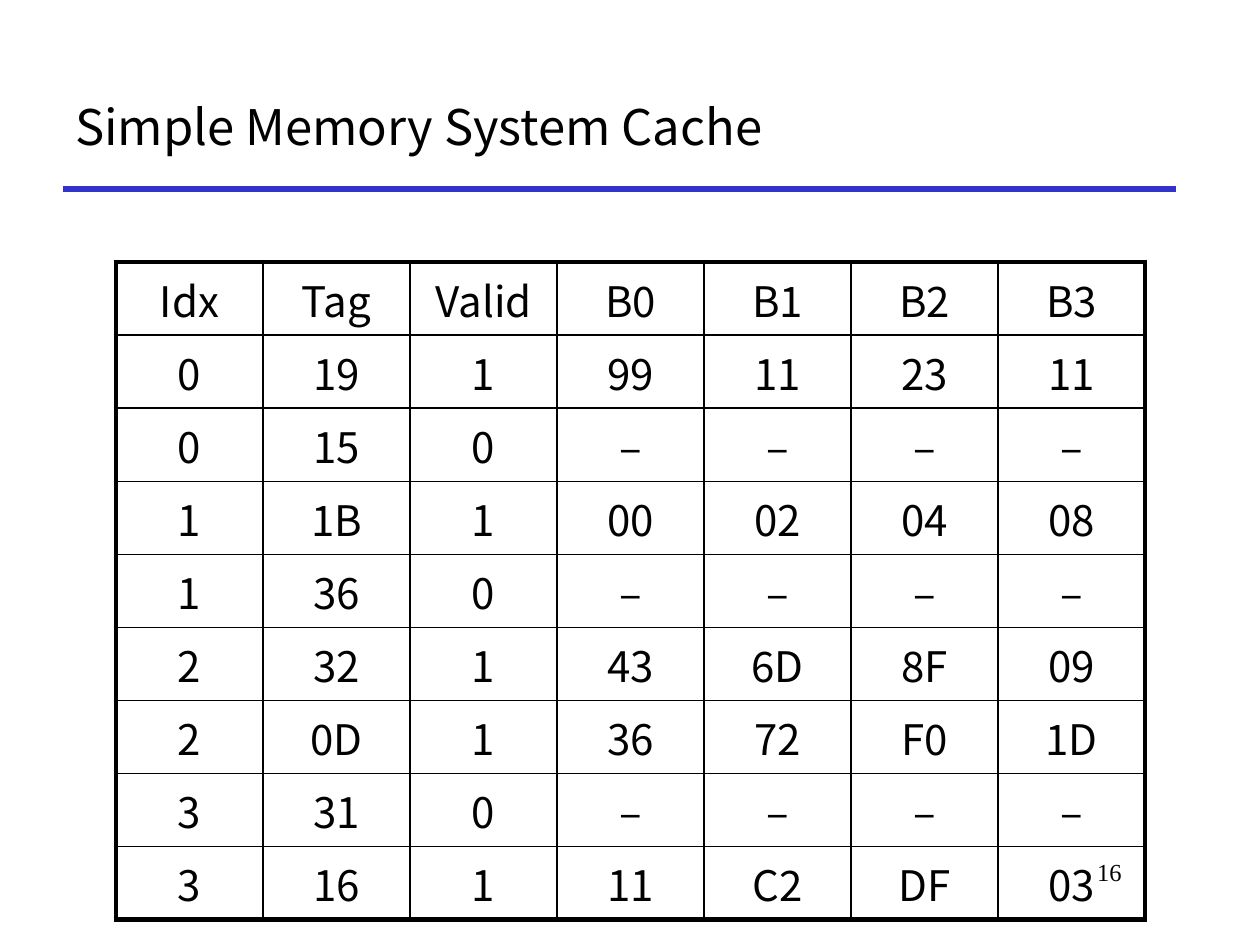
from dataclasses import dataclass

from lxml.etree import SubElement
from pptx import Presentation
from pptx.dml.color import RGBColor
from pptx.enum.shapes import MSO_CONNECTOR
from pptx.enum.text import MSO_ANCHOR, PP_ALIGN
from pptx.oxml.ns import qn
from pptx.util import Inches, Pt

COLORS = {"text": "000000", "rule": "3333CC", "border": "000000"}
SANS = "Noto Sans CJK KR"
SERIF = "Times New Roman"
ROW_HEIGHT = 0.58
CACHE_ROWS = [
    "Idx Tag Valid B0 B1 B2 B3".split(),
    "0 19 1 99 11 23 11".split(),
    "0 15 0 – – – –".split(),
    "1 1B 1 00 02 04 08".split(),
    "1 36 0 – – – –".split(),
    "2 32 1 43 6D 8F 09".split(),
    "2 0D 1 36 72 F0 1D".split(),
    "3 31 0 – – – –".split(),
    "3 16 1 11 C2 DF 03".split(),
]


@dataclass
class Label:
    text: str
    left: float
    top: float
    width: float
    height: float
    size: int
    font: str
    align: PP_ALIGN
    anchor: MSO_ANCHOR


LABELS = [
    Label("16", 7.58, 6.75, 1.42, 0.5, 14, SERIF, PP_ALIGN.RIGHT, MSO_ANCHOR.TOP),
    Label("Simple Memory System Cache", 0.5, 0.5, 8.83, 1, 28, SANS,
          PP_ALIGN.LEFT, MSO_ANCHOR.MIDDLE),
]


def format_text(tf, size: int, font: str, align: PP_ALIGN) -> None:
    p = tf.paragraphs[0]
    p.alignment = align
    for r in p.runs:
        r.font.size = Pt(size)
        r.font.name = font
        r.font.bold = False
        r.font.color.rgb = RGBColor.from_string(COLORS["text"])


def add_label(s, label: Label) -> None:
    sp = s.shapes.add_textbox(Inches(label.left), Inches(label.top),
                              Inches(label.width), Inches(label.height))
    tf = sp.text_frame
    tf.word_wrap = True
    tf.vertical_anchor = label.anchor
    tf.text = label.text
    format_text(tf, label.size, label.font, label.align)


def add_rule(s) -> None:
    sp = s.shapes.add_connector(MSO_CONNECTOR.STRAIGHT, Inches(0.5), Inches(1.5),
                                Inches(9.33), Inches(1.5))
    sp.line.color.rgb = RGBColor.from_string(COLORS["rule"])
    sp.line.width = Pt(3)
    SubElement(sp._element.spPr, qn("a:effectLst"))


def set_borders(cell, outer: dict[str, bool]) -> None:
    tcPr = cell._tc.get_or_add_tcPr()
    for side, is_outer in outer.items():
        ln = SubElement(tcPr, qn(f"a:ln{side}"), w=str(Pt(3 if is_outer else 1)))
        fill = SubElement(ln, qn("a:solidFill"))
        SubElement(fill, qn("a:srgbClr"), val=COLORS["border"])


def add_cache_table(s, rows: list[list[str]]) -> None:
    n_rows, n_cols = len(rows), len(rows[0])
    sp = s.shapes.add_table(n_rows, n_cols, Inches(0.92), Inches(2.08),
                            Inches(8.17), Inches(ROW_HEIGHT * n_rows))
    table = sp.table
    table.first_row = False
    table.horz_banding = False
    for i, row in enumerate(rows):
        for j, value in enumerate(row):
            cell = table.cell(i, j)
            cell.text_frame.text = value
            format_text(cell.text_frame, 24, SANS, PP_ALIGN.CENTER)
            set_borders(cell, {"L": j == 0, "R": j == n_cols - 1,
                               "T": i == 0, "B": i == n_rows - 1})
            cell.fill.background()


def main() -> None:
    prs = Presentation()
    prs.slide_width = Inches(10)
    prs.slide_height = Inches(7.5)
    s = prs.slides.add_slide(prs.slide_layouts[6])
    add_rule(s)
    for label in LABELS:
        add_label(s, label)
    add_cache_table(s, CACHE_ROWS)
    prs.save("out.pptx")


if __name__ == "__main__":
    main()
